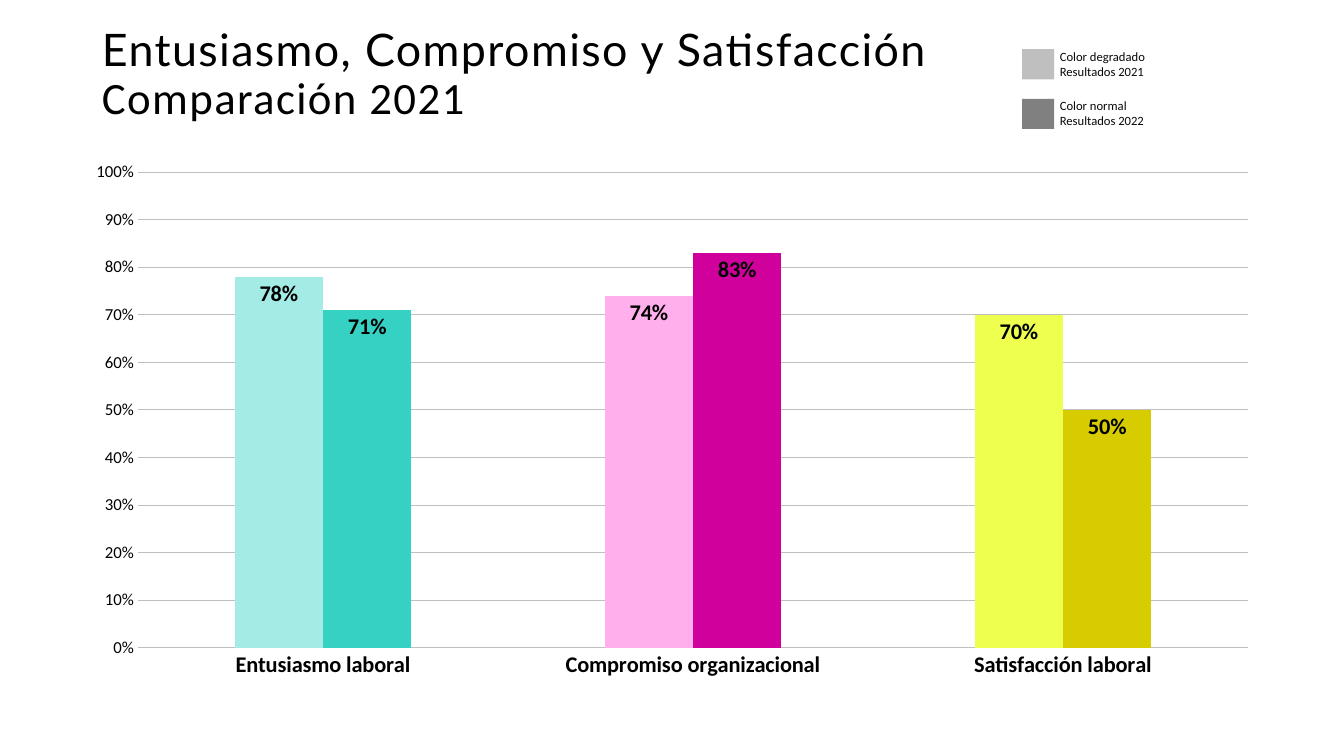
import pptx
import pptx.util
import pptx.chart.data
import pptx.dml.color
import pptx.enum.chart
import pptx.enum.shapes
import pptx.enum.text
import pptx.oxml
from pptx.oxml.ns import nsdecls

Cm, Pt = pptx.util.Cm, pptx.util.Pt
RGBColor = pptx.dml.color.RGBColor

BLACK = RGBColor(0x00, 0x00, 0x00)
INK = RGBColor(0x07, 0x08, 0x0B)
LIGHT_GRAY = RGBColor(0xBF, 0xBF, 0xBF)
DARK_GRAY = RGBColor(0x80, 0x80, 0x80)
LIGHT_TURQUOISE = RGBColor(0xA3, 0xEB, 0xE4)
TURQUOISE = RGBColor(0x35, 0xD2, 0xC4)
LIGHT_PINK = RGBColor(0xFF, 0xAF, 0xEC)
MAGENTA = RGBColor(0xCF, 0x00, 0x9C)
LIGHT_YELLOW = RGBColor(0xEE, 0xFF, 0x4F)
YELLOW = RGBColor(0xD6, 0xCC, 0x00)

TITLE_LINES = [
    ("Entusiasmo, Compromiso y Satisfacción", "Lato"),
    ("Comparación 2021", "Calibri"),
]
LEGEND = [
    (LIGHT_GRAY, ["Color degradado", "Resultados 2021"]),
    (DARK_GRAY, ["Color normal", "Resultados 2022"]),
]
CATEGORIES = ["Entusiasmo laboral", "Compromiso organizacional", "Satisfacción laboral"]
SERIES = [
    ("Resultados 2021", (0.78, 0.74, 0.70), (LIGHT_TURQUOISE, LIGHT_PINK, LIGHT_YELLOW)),
    ("Resultados 2022", (0.71, 0.83, 0.50), (TURQUOISE, MAGENTA, YELLOW)),
]
LEGEND_TOP, LEGEND_STEP = 1.24, 1.25
PLOT_LAYOUT = {"x": 0.0545, "y": 0.039, "w": 0.9254, "h": 0.8835}


def set_all(target, values):
    for name, value in values.items():
        setattr(target, name, value)


def set_font(font, size, color=BLACK, bold=False, name="Calibri"):
    set_all(font, {"size": Pt(size), "bold": bold, "name": name})
    font.color.rgb = color


def fill_solid(fill, color):
    fill.solid()
    fill.fore_color.rgb = color


def add_title(slide):
    title = slide.shapes.title
    set_all(title, {"left": Cm(2.57), "top": Cm(0.69), "width": Cm(21.74), "height": Cm(2.69)})
    frame = title.text_frame
    set_all(frame, {
        "margin_left": 0, "margin_top": 0, "margin_right": 0, "margin_bottom": 0,
        "word_wrap": True,
        "auto_size": pptx.enum.text.MSO_AUTO_SIZE.NONE,
        "vertical_anchor": pptx.enum.text.MSO_ANCHOR.TOP,
    })
    paragraph = frame.paragraphs[0]
    set_all(paragraph, {"alignment": pptx.enum.text.PP_ALIGN.LEFT, "line_spacing": 0.9})
    for index, (text, font_name) in enumerate(TITLE_LINES):
        if index:
            paragraph.add_line_break()
        run = paragraph.add_run()
        run.text = text
        set_font(run.font, 32, name=font_name)
        run.font._element.set("spc", "100")


def add_legend(slide):
    for index, (color, lines) in enumerate(LEGEND):
        top = LEGEND_TOP + index * LEGEND_STEP
        swatch = slide.shapes.add_shape(
            pptx.enum.shapes.MSO_SHAPE.RECTANGLE, Cm(25.76), Cm(top), Cm(0.81), Cm(0.76))
        swatch.shadow.inherit = False
        fill_solid(swatch.fill, color)
        swatch.line.fill.background()

        label = slide.shapes.add_textbox(Cm(26.46), Cm(top - 0.14), Cm(5.64), Cm(1.02))
        frame = label.text_frame
        frame.word_wrap = True
        frame.text = "\n".join(lines)
        for paragraph in frame.paragraphs:
            set_font(paragraph.runs[0].font, 9, INK)


def format_axes(chart):
    no_tick = pptx.enum.chart.XL_TICK_MARK.NONE
    for axis, size, bold in ((chart.category_axis, 16, True), (chart.value_axis, 12, False)):
        set_all(axis, {"major_tick_mark": no_tick, "minor_tick_mark": no_tick})
        set_font(axis.tick_labels.font, size, bold=bold)

    category_line = chart.category_axis.format.line
    set_all(category_line, {"width": Pt(0.75)})
    category_line.color.rgb = LIGHT_GRAY

    values = chart.value_axis
    set_all(values, {"minimum_scale": 0, "maximum_scale": 1, "major_unit": 0.1,
                     "has_major_gridlines": True})
    set_all(values.tick_labels, {"number_format": "0%", "number_format_is_linked": False})
    values.format.line.fill.background()
    grid_line = values.major_gridlines.format.line
    grid_line.width = Pt(0.5)
    grid_line.color.rgb = LIGHT_GRAY


def fix_plot_area(chart):
    """Pin the inner plot area to fixed fractions of the chart."""
    plot_area = chart._chartSpace.chart.plotArea
    for old_layout in plot_area.findall(pptx.oxml.ns.qn("c:layout")):
        plot_area.remove(old_layout)
    sizes = "".join(f'<c:{key} val="{value}"/>' for key, value in PLOT_LAYOUT.items())
    plot_area.insert(0, pptx.oxml.parse_xml(
        f'<c:layout {nsdecls("c")}><c:manualLayout><c:layoutTarget val="inner"/>'
        f'<c:xMode val="edge"/><c:yMode val="edge"/>{sizes}</c:manualLayout></c:layout>'))


def add_results_chart(slide):
    data = pptx.chart.data.CategoryChartData(number_format="0%")
    data.categories = CATEGORIES
    for name, values, _ in SERIES:
        data.add_series(name, values)
    chart = slide.shapes.add_chart(
        pptx.enum.chart.XL_CHART_TYPE.COLUMN_CLUSTERED,
        Cm(1.83), Cm(3.81), Cm(30.23), Cm(13.56), data).chart
    set_all(chart, {"has_legend": False, "has_title": False})
    set_font(chart.font, 10)
    plot = chart.plots[0]
    set_all(plot, {"gap_width": 219, "overlap": 0, "vary_by_categories": False})

    for series, (_, _, colors) in zip(plot.series, SERIES):
        fill_solid(series.format.fill, colors[0])
        for index, color in enumerate(colors):
            fill_solid(series.points[index].format.fill, color)
        labels = series.data_labels
        set_all(labels, {
            "show_value": True, "number_format": "0%", "number_format_is_linked": False,
            "position": pptx.enum.chart.XL_LABEL_POSITION.INSIDE_END,
        })
        set_font(labels.font, 16, bold=True)

    format_axes(chart)
    fix_plot_area(chart)


def main():
    presentation = pptx.Presentation()
    set_all(presentation, {"slide_width": Cm(33.87), "slide_height": Cm(19.05)})
    slide = presentation.slides.add_slide(presentation.slide_layouts.get_by_name("Title Only"))
    add_title(slide)
    add_legend(slide)
    add_results_chart(slide)
    presentation.save("out.pptx")


if __name__ == "__main__":
    main()
